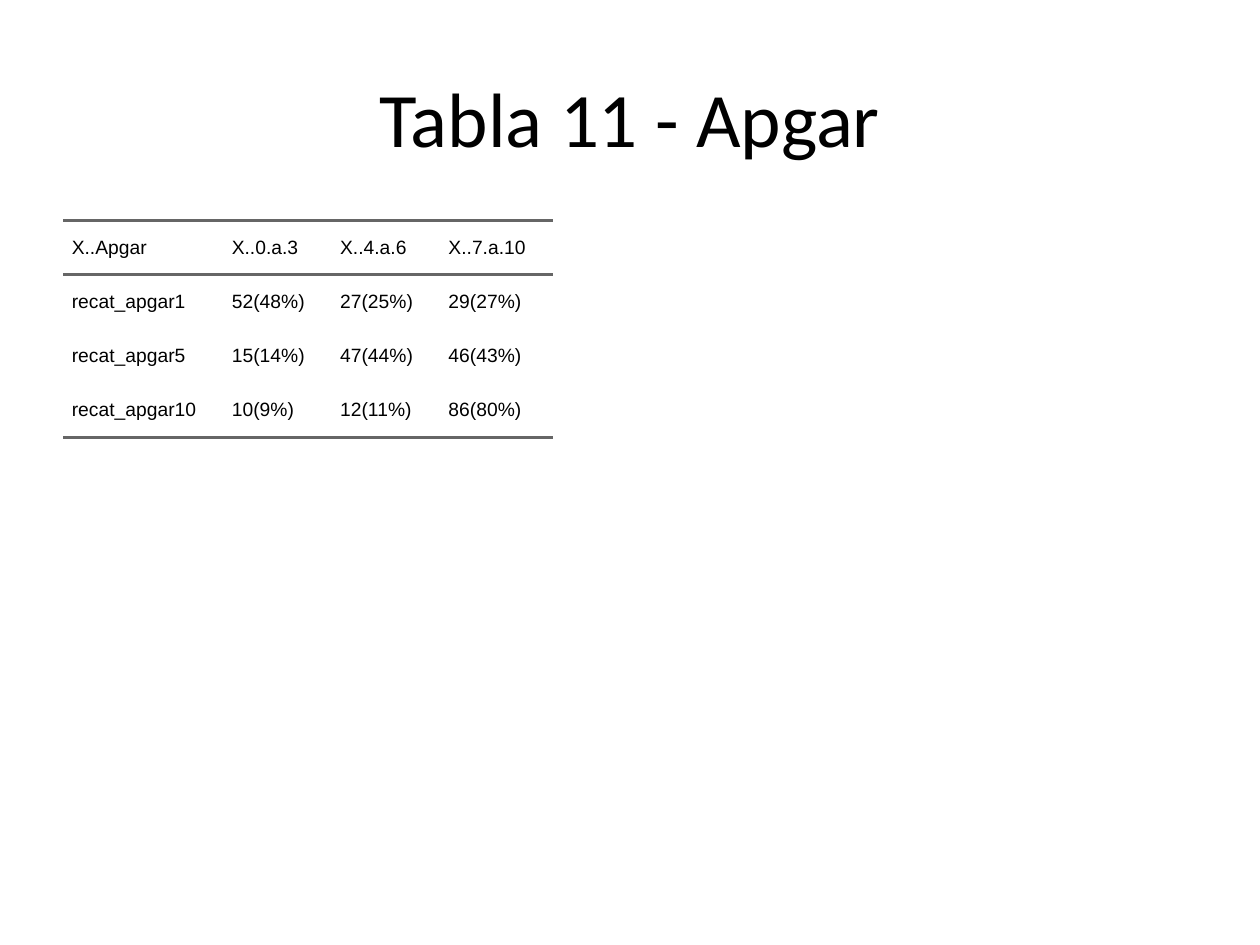
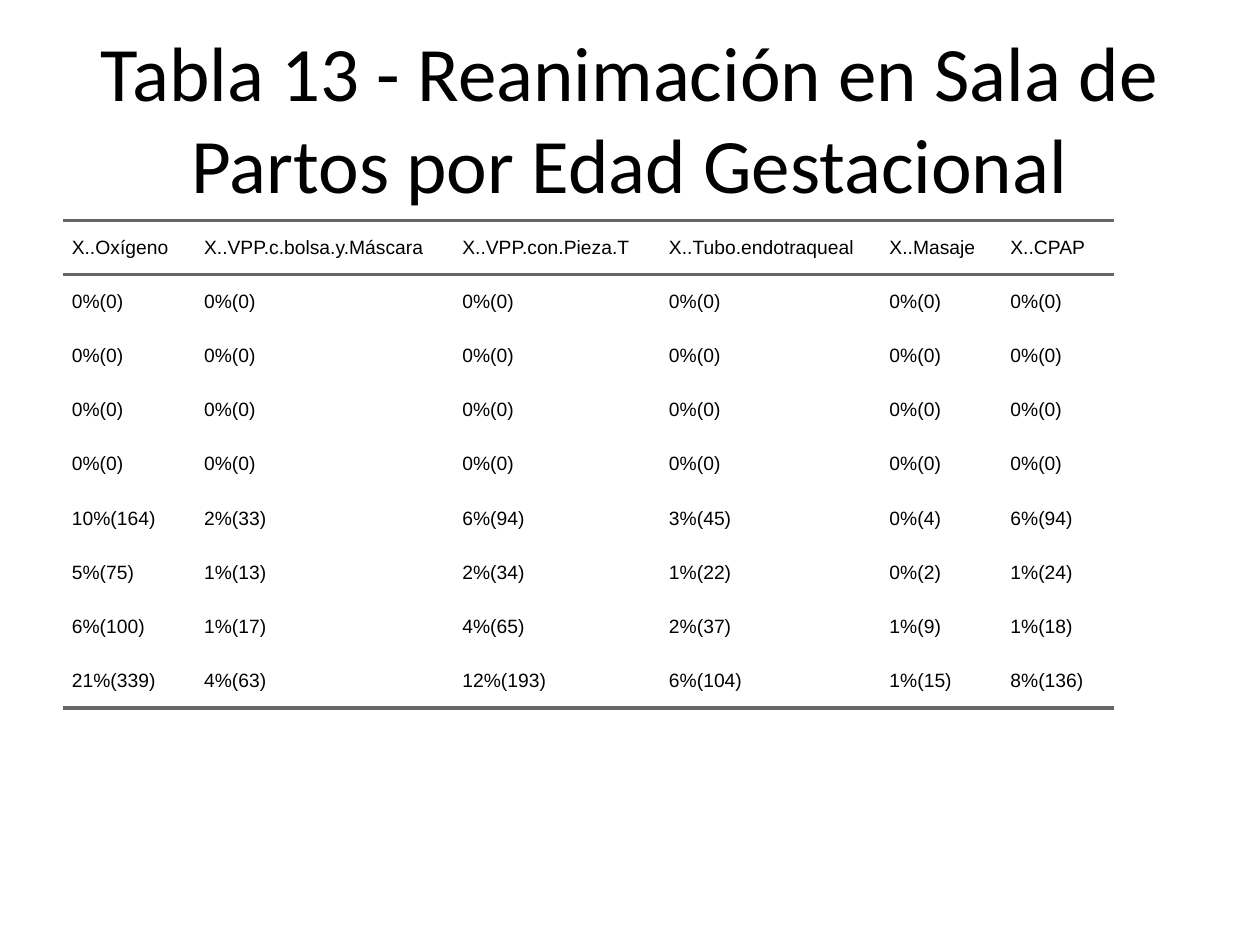
from lxml import etree
from pptx import Presentation
from pptx.dml.color import RGBColor
from pptx.enum.text import MSO_ANCHOR, PP_ALIGN
from pptx.oxml.ns import qn
from pptx.util import Inches, Pt

MIDDLE = MSO_ANCHOR.MIDDLE
CENTER = PP_ALIGN.CENTER
COLORS = {"text": "000000", "rule": "666666", "background": "FFFFFF"}
PLAIN_TABLE_STYLE = "{2D5ABB26-0587-4C30-8999-92F81FD0307C}"


class TableDeck:
    """Hold the shared style and the current slide of a deck of ruled tables."""

    title_font = "Calibri"
    body_font = "Arial"
    left = 0.5
    row_height = 0.43

    def __init__(self):
        self.deck = Presentation()
        self.deck.slide_width = Inches(10)
        self.deck.slide_height = Inches(7.5)
        self.page = None

    def add_page(self, title):
        self.page = self.deck.slides.add_slide(self.deck.slide_layouts[6])
        fill = self.page.background.fill
        fill.solid()
        fill.fore_color.rgb = RGBColor.from_string(COLORS["background"])
        self.add_title(title)

    def set_font(self, paragraph, name, size):
        paragraph.font.name = name
        paragraph.font.size = Pt(size)
        paragraph.font.color.rgb = RGBColor.from_string(COLORS["text"])

    def add_title(self, text):
        box = self.page.shapes.add_textbox(
            Inches(self.left), Inches(0.3), Inches(9), Inches(1.25))
        frame = box.text_frame
        frame.word_wrap = True
        frame.vertical_anchor = MIDDLE
        para = frame.paragraphs[0]
        para.text = text
        para.alignment = CENTER
        self.set_font(para, self.title_font, 44)

    def add_table(self, widths, rows):
        shape = self.page.shapes.add_table(
            len(rows), len(widths), Inches(self.left), Inches(1.75),
            Inches(sum(widths)), Inches(self.row_height * len(rows)))
        table = shape.table
        table.first_row = False
        table.horz_banding = False
        table._tbl.tblPr.find(qn("a:tableStyleId")).text = PLAIN_TABLE_STYLE
        for column, width in zip(table.columns, widths):
            column.width = Inches(width)
        for row_index, values in enumerate(rows):
            table.rows[row_index].height = Inches(self.row_height)
            sides = []
            if row_index == 0:
                sides.append("lnT")
            if row_index in (0, len(rows) - 1):
                sides.append("lnB")
            for column_index, value in enumerate(values):
                self.fill_cell(table.cell(row_index, column_index), value, sides)

    def fill_cell(self, cell, text, sides):
        cell.margin_left = cell.margin_right = 0
        cell.margin_top = cell.margin_bottom = 0
        cell.vertical_anchor = MIDDLE
        for side in sides:
            self.add_rule(cell, side)
        cell.fill.background()
        para = cell.text_frame.paragraphs[0]
        para.text = text
        para.space_before = para.space_after = Pt(5)
        para._p.get_or_add_pPr().set("marL", str(Inches(0.07)))
        self.set_font(para, self.body_font, 11)

    def add_rule(self, cell, side):
        properties = cell._tc.get_or_add_tcPr()
        line = etree.SubElement(properties, qn(f"a:{side}"), w=str(Pt(2)))
        fill = etree.SubElement(line, qn("a:solidFill"))
        etree.SubElement(fill, qn("a:srgbClr"), val=COLORS["rule"])


def main():
    report = TableDeck()

    report.add_page("Tabla 11 - Apgar")
    report.add_table([1.27, 0.86, 0.86, 0.9], [
        ["X..Apgar", "X..0.a.3", "X..4.a.6", "X..7.a.10"],
        ["recat_apgar1", "52(48%)", "27(25%)", "29(27%)"],
        ["recat_apgar5", "15(14%)", "47(44%)", "46(43%)"],
        ["recat_apgar10", "10(9%)", "12(11%)", "86(80%)"],
    ])

    report.add_page("Tabla 13 - Reanimación en Sala de Partos por Edad Gestacional")
    treatments = ["X..Oxígeno", "X..VPP.c.bolsa.y.Máscara", "X..VPP.con.Pieza.T",
                  "X..Tubo.endotraqueal", "X..Masaje", "X..CPAP"]
    empty_rows = [["0%(0)"] * len(treatments)] * 4
    report.add_table([1.05, 2.05, 1.64, 1.75, 0.96, 0.89], [
        treatments,
        *empty_rows,
        ["10%(164)", "2%(33)", "6%(94)", "3%(45)", "0%(4)", "6%(94)"],
        ["5%(75)", "1%(13)", "2%(34)", "1%(22)", "0%(2)", "1%(24)"],
        ["6%(100)", "1%(17)", "4%(65)", "2%(37)", "1%(9)", "1%(18)"],
        ["21%(339)", "4%(63)", "12%(193)", "6%(104)", "1%(15)", "8%(136)"],
    ])

    report.deck.save("out.pptx")


main()
